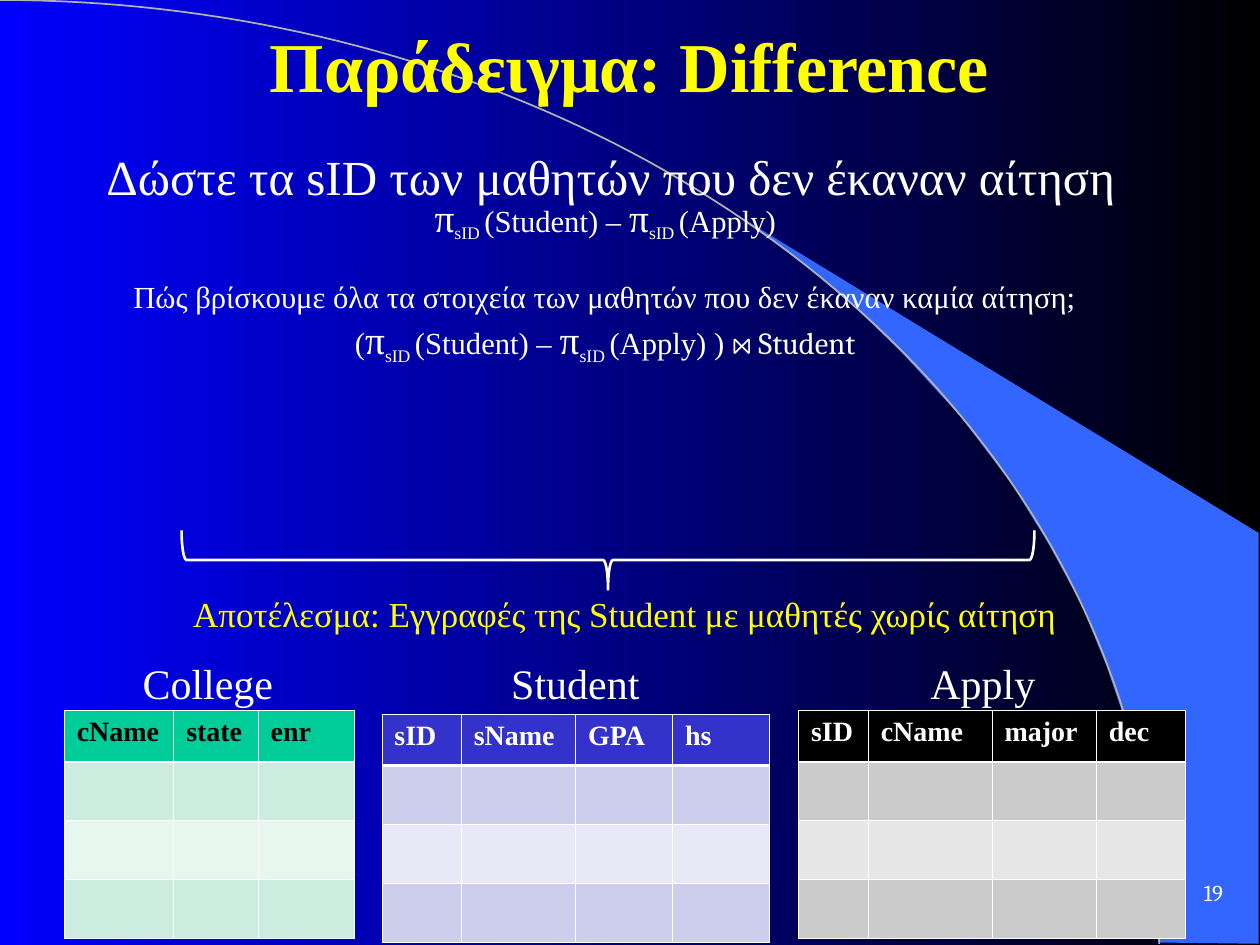
from dataclasses import dataclass
from math import cos, pi, sin

from lxml.etree import SubElement
from pptx import Presentation
from pptx.dml.color import RGBColor
from pptx.enum.shapes import MSO_SHAPE as Preset
from pptx.enum.text import MSO_ANCHOR as Anchor, PP_ALIGN as Align
from pptx.oxml.ns import qn
from pptx.util import Pt

WHITE = RGBColor(0xFF, 0xFF, 0xFF)
BLACK = RGBColor(0, 0, 0)
YELLOW = RGBColor(0xFF, 0xFF, 0)
BLUE = RGBColor(0, 0, 0xFF)
SKY = RGBColor(0x33, 0x66, 0xFF)
GREY = RGBColor(0xB2, 0xB2, 0xB2)
TIMES, CAMBRIA = "Times New Roman", "Cambria"


@dataclass(frozen=True)
class Piece:
    text: str
    size: float = 17.5
    font: str = TIMES
    color: RGBColor = WHITE
    bold: bool = False
    subscript: bool = False


@dataclass(frozen=True)
class Line:
    pieces: list[Piece]
    align: Align = Align.CENTER
    space_before: float = 0


@dataclass(frozen=True)
class Relation:
    name: str
    label_left: float
    left: float
    top: float
    columns: dict[str, float]
    header_fill: RGBColor
    header_text: RGBColor
    dark_band: RGBColor
    light_band: RGBColor


def add_text(slide, left: float, top: float, width: float, height: float,
             lines: list[Line], anchor: Anchor = Anchor.TOP, inset_top: float = 3.6) -> None:
    frame = slide.shapes.add_textbox(Pt(left), Pt(top), Pt(width), Pt(height)).text_frame
    frame.word_wrap = True
    frame.vertical_anchor = anchor
    frame.margin_left = frame.margin_right = Pt(6.8)
    frame.margin_top = Pt(inset_top)
    for index, line in enumerate(lines):
        paragraph = frame.add_paragraph() if index else frame.paragraphs[0]
        paragraph.alignment = line.align
        if line.space_before:
            paragraph.space_before = Pt(line.space_before)
        for piece in line.pieces:
            run = paragraph.add_run()
            run.text = piece.text
            run.font.size = Pt(piece.size)
            run.font.name = piece.font
            run.font.bold = piece.bold
            run.font.color.rgb = piece.color
            if piece.subscript:
                run.font._element.set("baseline", "-25000")


def add_outline(slide, points: list[tuple[float, float]], close: bool):
    start, *rest = [(Pt(x), Pt(y)) for x, y in points]
    builder = slide.shapes.build_freeform(*start, scale=1.0)
    builder.add_line_segments(rest, close=close)
    shape = builder.convert_to_shape()
    shape.shadow.inherit = False
    return shape


def add_border(cell, side: str, width: float) -> None:
    line = SubElement(cell._tc.get_or_add_tcPr(), qn(f"a:ln{side}"), w=str(Pt(width)))
    fill = SubElement(line, qn("a:solidFill"))
    SubElement(fill, qn("a:srgbClr"), val=str(WHITE))


def add_relation(slide, relation: Relation) -> None:
    heights = [29.3, 33.7, 33.7, 33.7]
    fills = [relation.header_fill, relation.dark_band, relation.light_band, relation.dark_band]
    widths = list(relation.columns.values())
    table = slide.shapes.add_table(len(heights), len(widths), Pt(relation.left), Pt(relation.top),
                                   Pt(sum(widths)), Pt(sum(heights))).table
    table.first_row = table.horz_banding = False
    for column, width in zip(table.columns, widths):
        column.width = Pt(width)
    for row_index, (row, height) in enumerate(zip(table.rows, heights)):
        row.height = Pt(height)
        for cell in row.cells:
            add_border(cell, "L", 0.45)
            add_border(cell, "R", 0.45)
            add_border(cell, "T", 1.47 if row_index == 1 else 0.45)
            add_border(cell, "B", 1.47 if row_index == 0 else 0.45)
            cell.fill.solid()
            cell.fill.fore_color.rgb = fills[row_index]
    for cell, heading in zip(table.rows[0].cells, relation.columns):
        cell.text_frame.text = heading
        font = cell.text_frame.paragraphs[0].runs[0].font
        font.size, font.name, font.bold = Pt(16), TIMES, True
        font.color.rgb = relation.header_text


def difference() -> list[Piece]:
    """Student IDs minus Apply IDs in relational algebra."""
    projection = [Piece("π", 22.5), Piece("sID ", subscript=True)]
    return [*projection, Piece("(Student) – "), *projection, Piece("(Apply)")]


RELATIONS = [
    Relation("College", 64.8, 36.7, 406.1, {"cName": 62.6, "state": 48.2, "enr": 55.2},
             RGBColor(0, 0xCC, 0x99), BLACK,
             RGBColor(0xCB, 0xEC, 0xDE), RGBColor(0xE7, 0xF6, 0xEF)),
    Relation("Student", 274.8, 218.2, 408.2,
             {"sID": 45.4, "sName": 65.3, "GPA": 55.4, "hs": 55.4},
             RGBColor(0x33, 0x33, 0xCC), WHITE,
             RGBColor(0xCD, 0xCD, 0xEC), RGBColor(0xE8, 0xE8, 0xF6)),
    Relation("Apply", 507.6, 456.3, 406.1,
             {"sID": 39.8, "cName": 70.8, "major": 59.6, "dec": 51},
             BLACK, WHITE,
             RGBColor(0xCB, 0xCB, 0xCB), RGBColor(0xE7, 0xE7, 0xE7)),
]

BEAM = [(662.4, 538.6), (719.3, 539.3), (719.3, 304.6), (424.1, 124.6), (449.3, 143.3),
        (470.2, 159.8), (493.2, 180), (515.5, 201.6), (548.6, 237.6), (578.2, 276.5),
        (599, 310.3), (617.8, 344.9), (632.2, 380.2), (643, 411.8), (650.2, 438.5),
        (657.4, 472.3), (660.2, 501.1)]


def main() -> None:
    presentation = Presentation()
    presentation.slide_width, presentation.slide_height = Pt(720), Pt(540)
    slide = presentation.slides.add_slide(presentation.slide_layouts[6])

    # Background: gradient, beam and quarter ellipse
    background = slide.background.fill
    background.gradient()
    background.gradient_angle = 0
    for stop, color in zip(background.gradient_stops, (BLUE, BLACK)):
        stop.color.rgb = color
    beam = add_outline(slide, BEAM, close=True)
    beam.fill.solid()
    beam.fill.fore_color.rgb = SKY
    beam.line.fill.background()
    steps = 90
    angles = [step * pi / 2 / steps for step in range(steps + 1)]
    arc = add_outline(slide, [(662.4 * sin(a), 539.3 * (1 - cos(a))) for a in angles], close=False)
    arc.fill.background()
    arc.line.color.rgb = GREY
    arc.line.width = Pt(1)

    # Slide number, title and question
    add_text(slide, 665.3, 491.8, 40.3, 36,
             [Line([Piece("19", 13, CAMBRIA)], Align.RIGHT)], Anchor.MIDDLE)
    add_text(slide, 50.4, 0, 618.5, 73.4,
             [Line([Piece("Παράδειγμα: Difference", 40, color=YELLOW, bold=True)])], Anchor.MIDDLE)
    add_text(slide, 54, 77, 612, 85,
             [Line([Piece("Δώστε τα sID των μαθητών που δεν έκαναν αίτηση", 28)], Align.LEFT)],
             inset_top=6.5)

    # Relations with their names
    for relation in RELATIONS:
        add_relation(slide, relation)
    for relation in RELATIONS:
        add_text(slide, relation.label_left, 372.2, 108, 36, [Line([Piece(relation.name, 24)])])

    # Formulas
    add_text(slide, 1.4, 106.6, 689, 111.6, [
        Line(difference()),
        Line([Piece("Πώς βρίσκουμε όλα τα στοιχεία των μαθητών που δεν έκαναν καμία αίτηση;")],
             space_before=20),
        Line([Piece("("), *difference(), Piece(" ) "), Piece("⋈ Student", font=CAMBRIA)]),
    ])

    # Brace and result
    brace = slide.shapes.add_shape(Preset.RIGHT_BRACE, Pt(330.5), Pt(76.3), Pt(33.8), Pt(487.4))
    brace.rotation = 90
    brace.shadow.inherit = False
    brace.fill.background()
    brace.line.color.rgb = WHITE
    brace.line.width = Pt(1.5)
    result = "Αποτέλεσμα: Εγγραφές της Student με μαθητές χωρίς αίτηση"
    add_text(slide, 93.6, 334.8, 527, 31.7, [Line([Piece(result, 20, color=YELLOW)])])

    presentation.save("out.pptx")


if __name__ == "__main__":
    main()
